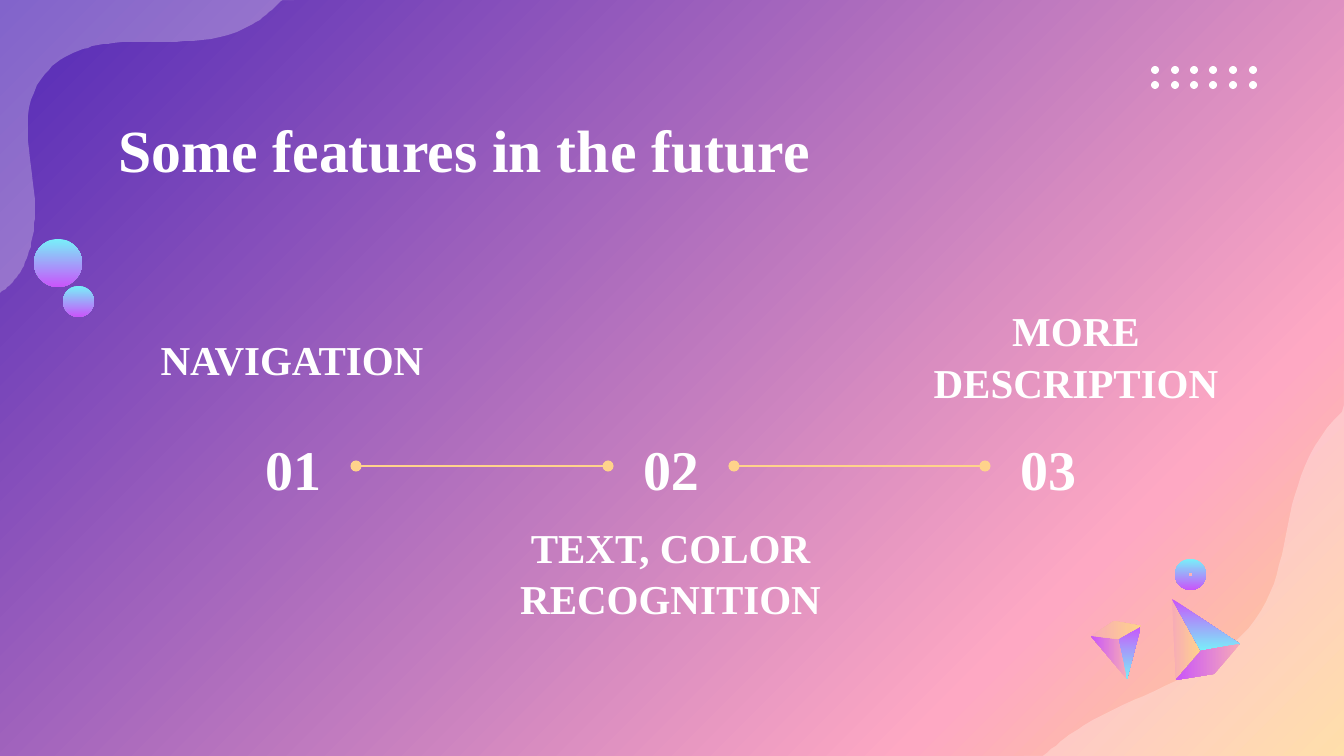
import copy

from lxml import etree
from pptx import Presentation
from pptx import util as u
from pptx.dml.color import RGBColor
from pptx.enum import shapes, text
from pptx.oxml.ns import qn

WIDE, HIGH = 1344, 756
SCALE = 914400 / 134.4
FONT = "Times New Roman"
WHITE, GOLD, ROSE = "FFFFFF", "FFD38B", "F7ABB7"
CYAN, VIOLET = "78F0F9", "C954FA"
RIGHT, DOWN, LEFT = 0, 270, 180

LOWER_WAVE = [(1427, 371),
              (1371, 379), (1320, 419), (1301, 476),
              (1282, 527), (1286, 585), (1249, 628),
              (1210, 675), (1145, 692), (1093, 720),
              (1067, 735), (1042, 754), (1024, 778)]
UPPER_WAVE = [(-1, 293),
              (8, 288), (16, 280), (22, 269),
              (32, 251), (35, 228), (35, 207),
              (34, 165), (15, 116), (42, 78),
              (59, 54), (85, 46), (113, 43),
              (160, 38), (210, 50), (253, 24),
              (271, 13), (288, -3), (294, -24)]
FACETS = [
    ([(1176, 680), (1201, 651), (1172, 599)], ROSE, GOLD, RIGHT),
    ([(1172, 599), (1201, 651), (1240, 644)], VIOLET, CYAN, DOWN),
    ([(1240, 644), (1201, 651), (1176, 680), (1214, 674)], ROSE, VIOLET, LEFT),
    ([(1141, 626), (1118, 639), (1127, 679)], VIOLET, CYAN, DOWN),
    ([(1127, 679), (1118, 639), (1091, 636)], ROSE, VIOLET, LEFT),
    ([(1091, 636), (1118, 639), (1141, 626), (1114, 621)], ROSE, GOLD, RIGHT),
]
LABELS = [
    ("TEXT, COLOR RECOGNITION", (464, 534, 413, 75)),
    ("NAVIGATION", (142, 320, 300, 75)),
    ("MORE DESCRIPTION", (878, 317, 396, 75)),
]


def px(size):
    """Turn pixels into EMU."""
    return u.Emu(round(size * SCALE))


def color(code):
    """Turn a hex string into a colour."""
    return RGBColor.from_string(code)


def blend(fill, start, end, angle):
    """Fill with a linear blend of two colours."""
    fill.gradient()
    fill.gradient_angle = angle
    for stop, code in zip(fill.gradient_stops, (start, end)):
        stop.color.rgb = color(code)


def plain(shape):
    """Remove the shadow and the outline of a shape."""
    shape.shadow.inherit = False
    shape.line.fill.background()
    return shape


def backdrop(slide):
    """Give the slide its diagonal three-colour background."""
    fill = slide.background.fill
    fill.gradient()
    fill.gradient_angle = 315
    stops = next(slide.background._cSld.iter(qn("a:gsLst")))
    stops.append(copy.deepcopy(stops[-1]))
    marks = ((0, "5229B7"), (0.79, "FEA8C3"), (1, GOLD))
    for stop, (place, code) in zip(fill.gradient_stops, marks):
        stop.position = place
        stop.color.rgb = color(code)


def outline(slide, points):
    """Draw a closed outline through points."""
    pen = slide.shapes.build_freeform(*points[0], scale=SCALE)
    pen.add_line_segments(points[1:], close=True)
    return plain(pen.convert_to_shape())


def trace(curve, steps=16):
    """Sample joined cubic curves, held within the slide."""
    points = [curve[0]]
    for start in range(0, len(curve) - 1, 3):
        knots = curve[start:start + 4]
        for step in range(1, steps + 1):
            t = step / steps
            parts = ((1 - t) ** 3, 3 * t * (1 - t) ** 2, 3 * t * t * (1 - t), t ** 3)
            points.append(tuple(sum(p * k[axis] for p, k in zip(parts, knots))
                                for axis in (0, 1)))
    return [(min(max(x, 0), WIDE), min(max(y, 0), HIGH)) for x, y in points]


def wave(slide, curve, corner):
    """Draw a translucent wave that fills a slide corner."""
    shape = outline(slide, trace(curve) + [corner])
    shape.fill.solid()
    shape.fill.fore_color.rgb = color(WHITE)
    tint = next(shape._element.spPr.iter(qn("a:srgbClr")))
    etree.SubElement(tint, qn("a:alpha")).set("val", "28000")


def write(shape, words, size, align):
    """Set bold white text in the middle of a shape."""
    frame = shape.text_frame
    frame.text = words
    frame.word_wrap = True
    frame.auto_size = text.MSO_AUTO_SIZE.NONE
    frame.vertical_anchor = text.MSO_ANCHOR.MIDDLE
    frame.margin_left = frame.margin_right = u.Inches(0.1)
    frame.margin_top = frame.margin_bottom = u.Inches(0.1)
    line = frame.paragraphs[0]
    line.alignment = align
    line.line_spacing = 1.05
    font = line.runs[0].font
    font.name, font.size, font.bold = FONT, u.Pt(size), True
    font.color.rgb = color(WHITE)


def title(slide, words):
    """Place and format the slide title."""
    shape = slide.shapes.title
    shape.left, shape.top, shape.width, shape.height = map(px, (105, 102, 1134, 90))
    write(shape, words, 32, text.PP_ALIGN.LEFT)


def label(slide, words, box, size):
    """Add a centred text box."""
    shape = slide.shapes.add_textbox(*map(px, box))
    write(shape, words, size, text.PP_ALIGN.CENTER)
    return shape


def link(slide, first, second):
    """Join two boxes by a line with round ends."""
    line = slide.shapes.add_connector(shapes.MSO_CONNECTOR.CURVE, 0, 0, 0, 0)
    line.begin_connect(first, 3)
    line.end_connect(second, 1)
    line.line.color.rgb = color(GOLD)
    line.line.width = u.Pt(1.5)
    for end in ("a:headEnd", "a:tailEnd"):
        etree.SubElement(line.line._get_or_add_ln(), qn(end)).set("type", "oval")
    etree.SubElement(line._element.spPr, qn("a:effectLst"))


def disc(slide, left, top, size, kind=shapes.MSO_SHAPE.OVAL):
    """Add a round shape without outline."""
    return plain(slide.shapes.add_shape(kind, *map(px, (left, top, size, size))))


def dots(slide):
    """Add the grid of white dots."""
    for row in range(2):
        for col in range(6):
            dot = disc(slide, 1151 + round(19.5 * col), 66 + 15 * row, 8)
            dot.fill.solid()
            dot.fill.fore_color.rgb = color(WHITE)


def main():
    """Build and save the slide."""
    deck = Presentation()
    deck.slide_width, deck.slide_height = px(WIDE), px(HIGH)
    slide = deck.slides.add_slide(deck.slide_layouts[5])
    backdrop(slide)
    wave(slide, LOWER_WAVE, (WIDE, HIGH))
    wave(slide, UPPER_WAVE, (0, 0))
    title(slide, "Some features in the future")
    for words, box in LABELS:
        label(slide, words, box, 22)
    steps = [label(slide, f"{n + 1:02}", (230 + round(377.5 * n), 431, 126, 70), 30)
             for n in range(3)]
    for first, second in zip(steps, steps[1:]):
        link(slide, first, second)
    for points, start, end, angle in FACETS:
        blend(outline(slide, points).fill, start, end, angle)
    ring = disc(slide, 1175, 559, 31, shapes.MSO_SHAPE.DONUT)
    ring.adjustments[0] = 0.42
    balls = [disc(slide, 34, 239, 48), disc(slide, 63, 286, 31)]
    for ball in [ring] + balls:
        blend(ball.fill, CYAN, VIOLET, DOWN)
    dots(slide)
    deck.save("out.pptx")


if __name__ == "__main__":
    main()
